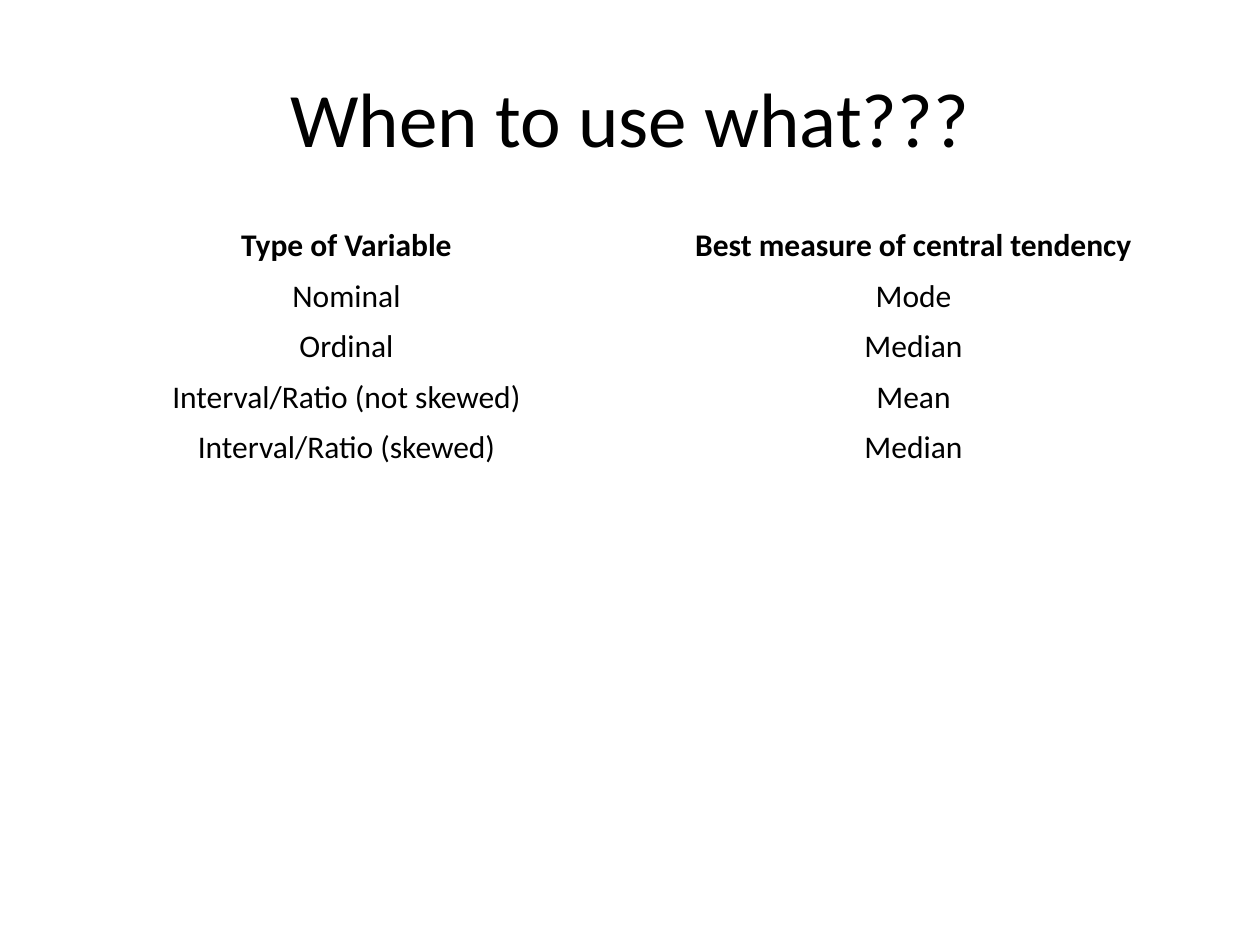
from pptx import Presentation
from pptx.dml.color import RGBColor
from pptx.enum.text import MSO_ANCHOR, PP_ALIGN
from pptx.util import Inches, Pt

BLACK = RGBColor(0x00, 0x00, 0x00)
ROWS = [
    ("Type of Variable", "Best measure of central tendency"),
    ("Nominal", "Mode"),
    ("Ordinal", "Median"),
    ("Interval/Ratio (not skewed)", "Mean"),
    ("Interval/Ratio (skewed)", "Median"),
]


class SlideBuilder:
    """Adds centred titles and plain tables to one slide in a shared style."""

    def __init__(self, slide, font="Calibri", color=BLACK):
        self.slide = slide
        self.font = font
        self.color = color

    def add_text(self, tf, text, size, bold=False):
        p = tf.paragraphs[0]
        p.alignment = PP_ALIGN.CENTER
        r = p.add_run()
        r.text = text
        r.font.name = self.font
        r.font.size = Pt(size)
        r.font.bold = bold
        r.font.color.rgb = self.color

    def title(self, text, left, top, width, height, size=44):
        sp = self.slide.shapes.add_textbox(
            Inches(left), Inches(top), Inches(width), Inches(height))
        tf = sp.text_frame
        tf.word_wrap = True
        tf.vertical_anchor = MSO_ANCHOR.MIDDLE
        self.add_text(tf, text, size)

    def table(self, rows, left, top, width, height, size=18):
        table = self.slide.shapes.add_table(
            len(rows), len(rows[0]),
            Inches(left), Inches(top), Inches(width), Inches(height)).table
        table.first_row = table.horz_banding = False
        for i, row in enumerate(rows):
            for j, text in enumerate(row):
                cell = table.cell(i, j)
                cell.fill.background()
                cell.vertical_anchor = MSO_ANCHOR.MIDDLE
                self.add_text(cell.text_frame, text, size, bold=i == 0)


def main():
    prs = Presentation()
    prs.slide_width, prs.slide_height = Inches(10), Inches(7.5)
    s = SlideBuilder(prs.slides.add_slide(prs.slide_layouts[6]))
    s.title("When to use what???", 0.5, 0.3, 9, 1.25)
    s.table(ROWS, 0.5, 1.75, 9, 2)
    prs.save("out.pptx")


if __name__ == "__main__":
    main()
